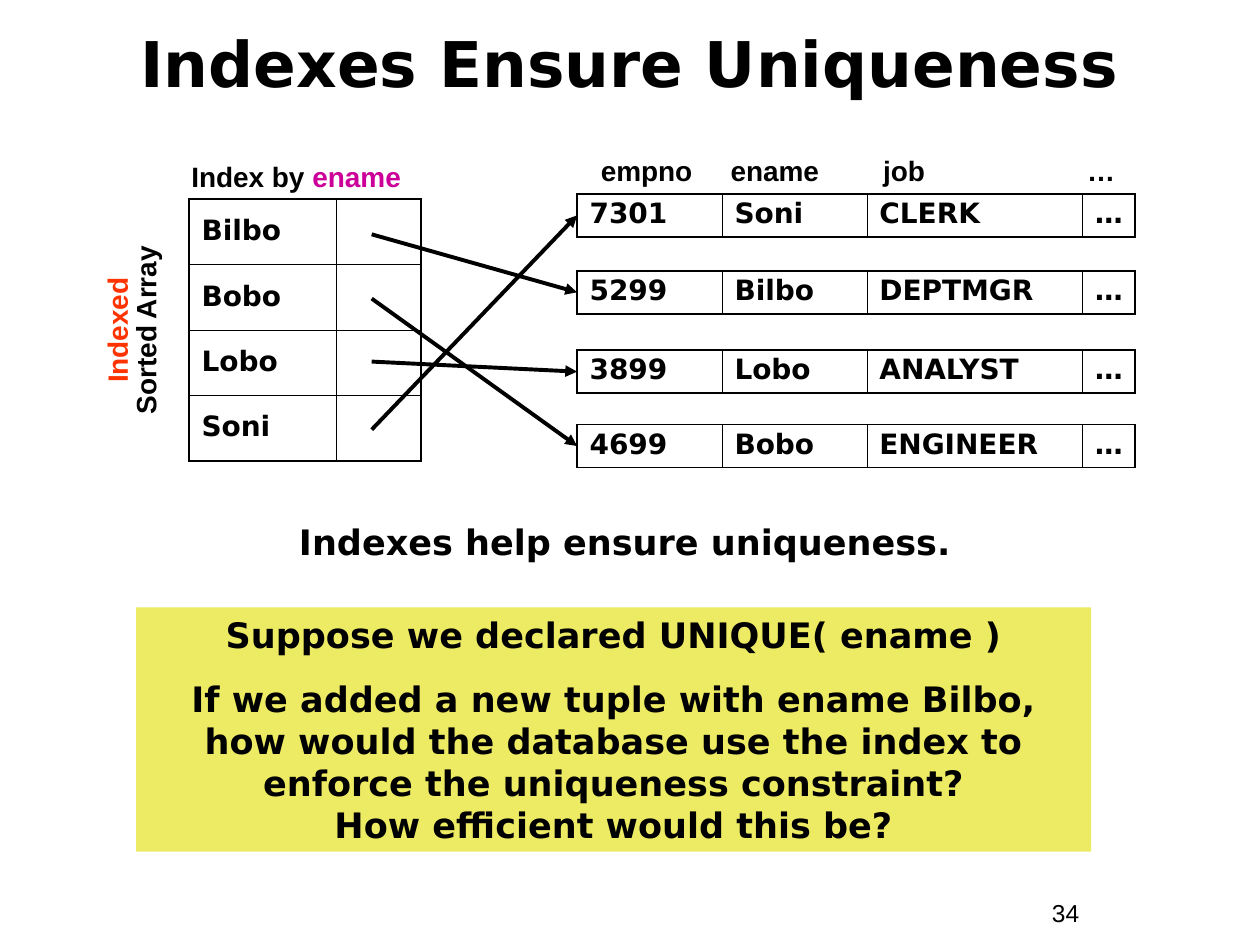
from lxml import etree
from pptx import Presentation
from pptx.dml.color import RGBColor
from pptx.enum.shapes import MSO_CONNECTOR, MSO_SHAPE
from pptx.enum.text import MSO_ANCHOR, PP_ALIGN
from pptx.oxml.ns import qn
from pptx.util import Inches, Pt

LEFT, CENTER = PP_ALIGN.LEFT, PP_ALIGN.CENTER
TOP, MIDDLE = MSO_ANCHOR.TOP, MSO_ANCHOR.MIDDLE
STRAIGHT, RECTANGLE = MSO_CONNECTOR.STRAIGHT, MSO_SHAPE.RECTANGLE
COLORS = {"black": "000000", "red": "FF3300", "magenta": "CC0099", "yellow": "EDEA63"}
SANS, HEADING = "Arial", "DejaVu Sans"
THICK, THIN = 1.08, 0.45


def color(name):
    return RGBColor.from_string(COLORS[name])


def write_text(frame, paragraphs, *, size=16, font=HEADING, bold=True, align=LEFT,
               anchor=TOP, line_spacing=None, gap=0, tabs=()):
    """Fill a text frame with paragraphs, each a list of (text, color name) runs."""
    frame.word_wrap = True
    frame.vertical_anchor = anchor
    for index, runs in enumerate(paragraphs):
        paragraph = frame.add_paragraph() if index else frame.paragraphs[0]
        paragraph.alignment = align
        if line_spacing:
            paragraph.line_spacing = line_spacing
        if index:
            paragraph.space_before = Pt(gap)
        if tabs:
            tab_list = etree.SubElement(paragraph._p.get_or_add_pPr(), qn("a:tabLst"))
            for position in tabs:
                etree.SubElement(tab_list, qn("a:tab"), pos=str(Inches(position)), algn="l")
        for text, color_name in runs:
            for number, line in enumerate(text.split("\n")):
                if number:
                    paragraph.add_line_break()
                run = paragraph.add_run()
                run.text = line
                run.font.size = Pt(size)
                run.font.name = font
                run.font.bold = bold
                run.font.color.rgb = color(color_name)


class SlideBuilder:
    """Draws styled elements on the current slide."""

    def __init__(self, slide):
        self.shapes = slide.shapes

    def text(self, box, paragraphs, rotation=0, **style):
        shape = self.shapes.add_textbox(*map(Inches, box))
        shape.rotation = rotation
        write_text(shape.text_frame, paragraphs, **style)

    def panel(self, box, fill, paragraphs, **style):
        shape = self.shapes.add_shape(RECTANGLE, *map(Inches, box))
        shape.shadow.inherit = False
        shape.fill.solid()
        shape.fill.fore_color.rgb = color(fill)
        shape.line.fill.background()
        write_text(shape.text_frame, paragraphs, **style)

    def arrow(self, start, end):
        connector = self.shapes.add_connector(STRAIGHT, *map(Inches, start + end))
        connector.line.color.rgb = color("black")
        connector.line.width = Pt(2.25)
        line = connector.line._get_or_add_ln()
        etree.SubElement(line, qn("a:tailEnd"), type="triangle", w="med", len="med")
        etree.SubElement(connector._element.spPr, qn("a:effectLst"))

    def table(self, left, top, widths, row_height, rows, column_line=THIN, anchor=TOP):
        box = (left, top, sum(widths), row_height * len(rows))
        table = self.shapes.add_table(len(rows), len(widths), *map(Inches, box)).table
        table.first_row = table.horz_banding = False
        for column, width in zip(table.columns, widths):
            column.width = Inches(width)
        last_row, last_column = len(rows) - 1, len(widths) - 1
        for r, values in enumerate(rows):
            table.rows[r].height = Inches(row_height)
            for c, value in enumerate(values):
                cell = table.cell(r, c)
                self.borders(cell, {
                    "L": column_line if c else THICK,
                    "R": column_line if c < last_column else THICK,
                    "T": THIN if r else THICK,
                    "B": THIN if r < last_row else THICK,
                })
                cell.fill.background()
                cell.vertical_anchor = anchor
                if value:
                    write_text(cell.text_frame, [[(value, "black")]],
                               anchor=anchor, line_spacing=0.9)

    def borders(self, cell, widths):
        properties = cell._tc.get_or_add_tcPr()
        for side, width in widths.items():
            line = etree.SubElement(properties, qn(f"a:ln{side}"), w=str(Pt(width)))
            fill = etree.SubElement(line, qn("a:solidFill"))
            etree.SubElement(fill, qn("a:srgbClr"), val=COLORS["black"])


def main():
    presentation = Presentation()
    presentation.slide_width, presentation.slide_height = Inches(10), Inches(7.5)
    builder = SlideBuilder(presentation.slides.add_slide(presentation.slide_layouts[6]))

    builder.text((0.33, 0.08, 9.33, 0.83), [[("Indexes Ensure Uniqueness", "black")]],
                 size=36, align=CENTER, anchor=MIDDLE)
    builder.text((8.25, 7.08, 0.92, 0.34), [[("34", "black")]],
                 size=14, font=SANS, bold=False)

    names = ["Bilbo", "Bobo", "Lobo", "Soni"]
    builder.table(1.5, 1.58, [1.17, 0.67], 0.52, [[name, ""] for name in names],
                  column_line=THICK, anchor=MIDDLE)
    records = [
        (1.54, "7301", "Soni", "CLERK"),
        (2.15, "5299", "Bilbo", "DEPTMGR"),
        (2.78, "3899", "Lobo", "ANALYST"),
        (3.37, "4699", "Bobo", "ENGINEER"),
    ]
    starts = dict(zip(names, [1.86, 2.37, 2.87, 3.41]))
    for top, number, name, job in records:
        builder.table(4.58, top, [1.15, 1.15, 1.71, 0.42], 0.34, [[number, name, job, "…"]])
    for top, number, name, job in records:
        builder.arrow((2.95, starts[name]), (4.58, top + 0.17))

    builder.text((4.67, 1.17, 4.75, 0.37), [[("empno\tename\tjob\t…", "black")]],
                 font=SANS, tabs=[1.03, 2.24, 3.86])
    builder.text((1.42, 1.22, 1.92, 0.37), [[("Index by ", "black"), ("ename", "magenta")]],
                 font=SANS)
    builder.text((0.15, 2.34, 1.83, 0.56), [[("Indexed\n", "red"), ("Sorted Array", "black")]],
                 rotation=270, font=SANS, align=CENTER, line_spacing=0.85)
    builder.text((1.17, 4.08, 7.58, 0.44), [[("Indexes help ensure uniqueness.", "black")]],
                 size=20, align=CENTER)
    question = ("If we added a new tuple with ename Bilbo,\n"
                "how would the database use the index to enforce the uniqueness constraint?\n"
                "How efficient would this be?")
    builder.panel((1.08, 4.82, 7.58, 1.94), "yellow",
                  [[("Suppose we declared UNIQUE( ename )", "black")], [(question, "black")]],
                  size=20, align=CENTER, gap=12.5)

    presentation.save("out.pptx")


if __name__ == "__main__":
    main()
